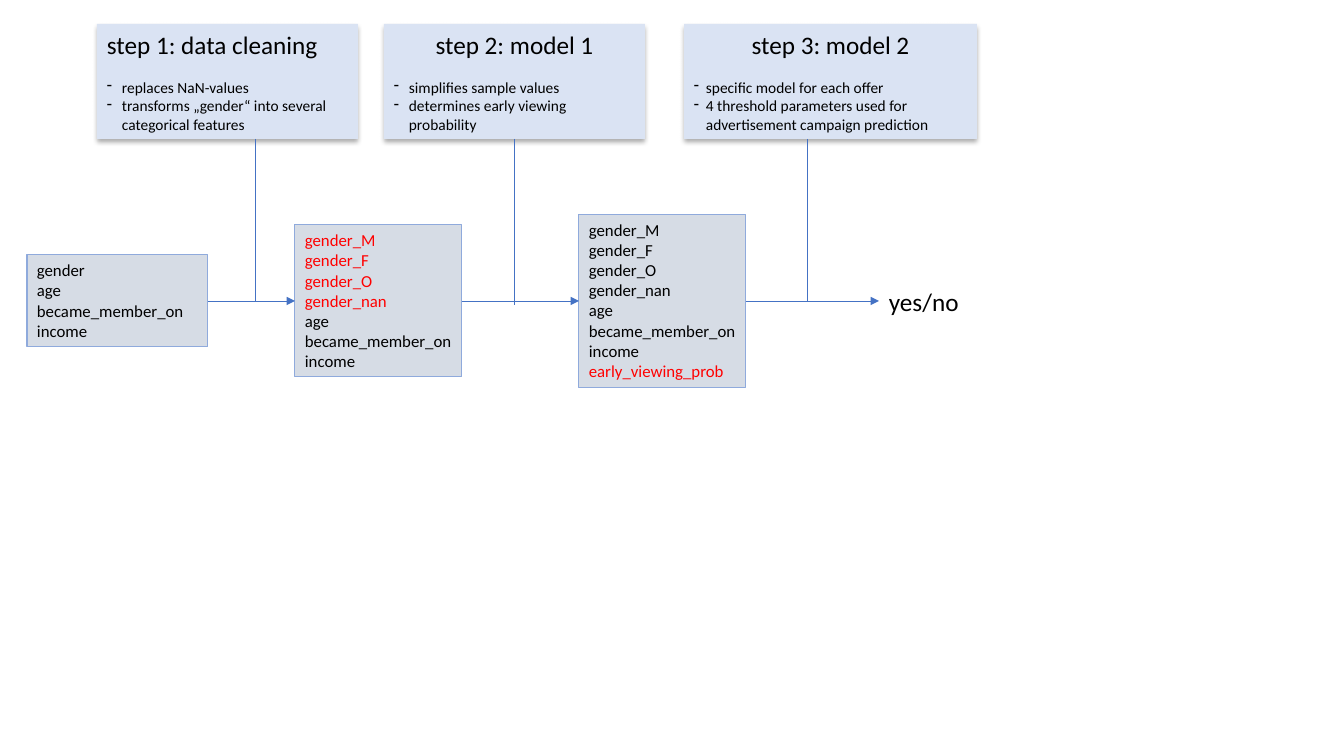
from dataclasses import dataclass

from lxml.etree import SubElement
from pptx import Presentation
from pptx.dml.color import RGBColor
from pptx.enum.shapes import MSO_CONNECTOR, MSO_SHAPE
from pptx.enum.text import MSO_ANCHOR, MSO_AUTO_SIZE, PP_ALIGN
from pptx.oxml.ns import qn
from pptx.util import Pt

EMU_PER_PIXEL = 914400 / 100.8


@dataclass(frozen=True)
class Theme:
    """Hold the colours, type sizes and line widths of the slide."""
    font: str = "Calibri"
    ink: str = "000000"
    new_field: str = "FF0000"
    field_fill: str = "D6DCE5"
    field_border: str = "8FAADC"
    step_fill: str = "DAE3F3"
    connector: str = "4472C4"
    heading_size: float = 18
    field_size: float = 12
    detail_size: float = 11
    heading_gap: float = 13.4
    border_width: float = 0.75
    connector_width: float = 0.5


THEME = Theme()
FLOW_Y = 301
STEP_TOP, STEP_HEIGHT = 24, 115

STEPS = [
    (97, 261, 15, PP_ALIGN.LEFT, "step 1: data cleaning",
     ["replaces NaN-values", "transforms „gender“ into several\vcategorical features"]),
    (384, 261, 15, PP_ALIGN.CENTER, "step 2: model 1",
     ["simplifies sample values", "determines early viewing\vprobability"]),
    (684, 293, 12, PP_ALIGN.CENTER, "step 3: model 2",
     ["specific model for each offer",
      "4 threshold parameters used for\vadvertisement campaign prediction"]),
]
STEP_LINKS = [(255, 302), (514, 305), (807, 302)]

GENDER_FIELDS = ["gender_M", "gender_F", "gender_O", "gender_nan"]
BASE_FIELDS = ["age", "became_member_on", "income"]
FIELD_SETS = [
    (27, 181, 92, ["gender"] + BASE_FIELDS, []),
    (295, 167, 152, GENDER_FIELDS + BASE_FIELDS, GENDER_FIELDS),
    (579, 167, 173, GENDER_FIELDS + BASE_FIELDS + ["early_viewing_prob"],
     ["early_viewing_prob"]),
]
RESULT_LEFT, RESULT_WIDTH, RESULT_HEIGHT = 879, 98, 40


def px(length):
    """Turn whole pixels into EMU."""
    return round(length * EMU_PER_PIXEL)


def write(frame, text, size, color=THEME.ink, align=PP_ALIGN.LEFT, gap=0, hang=0):
    """Write one paragraph, with a hanging dash when hang is given."""
    first = frame.paragraphs[0]
    para = first if not first.runs else frame.add_paragraph()
    para.alignment = align
    para.space_after = Pt(gap)
    for index, line in enumerate(text.split("\v")):
        if index:
            para.add_line_break()
        span = para.add_run()
        span.text = line
        span.font.name = THEME.font
        span.font.size = Pt(size)
        span.font.color.rgb = RGBColor.from_string(color)
    if hang:
        properties = para._p.get_or_add_pPr()
        properties.set("marL", str(px(hang)))
        properties.set("indent", str(-px(hang)))
        SubElement(properties, qn("a:buChar"), char="-")


def prepare_frame(box):
    """Return the wrapped, top-anchored text frame of a box."""
    frame = box.text_frame
    frame.word_wrap = True
    frame.auto_size = MSO_AUTO_SIZE.SHAPE_TO_FIT_TEXT
    frame.vertical_anchor = MSO_ANCHOR.TOP
    return frame


def add_box(page, left, top, width, height, fill, border=None):
    """Add a filled rectangle without a shadow."""
    box = page.shapes.add_shape(
        MSO_SHAPE.RECTANGLE, px(left), px(top), px(width), px(height))
    box.fill.solid()
    box.fill.fore_color.rgb = RGBColor.from_string(fill)
    if border:
        box.line.color.rgb = RGBColor.from_string(border)
        box.line.width = Pt(THEME.border_width)
    else:
        box.line.fill.background()
    box.shadow.inherit = False
    return box


def add_shadow(box):
    """Cast a soft shadow below a box."""
    effects = box._element.spPr.find(qn("a:effectLst"))
    shadow = SubElement(
        effects, qn("a:outerShdw"), blurRad=str(Pt(3.5)), dist=str(Pt(2.2)),
        dir="5400000", algn="t", rotWithShape="0")
    color = SubElement(shadow, qn("a:srgbClr"), val=THEME.ink)
    SubElement(color, qn("a:alpha"), val="32000")


def add_step(page, left, width, hang, align, heading, details):
    """Add a step card with its heading and dashed list."""
    box = add_box(page, left, STEP_TOP, width, STEP_HEIGHT, THEME.step_fill)
    add_shadow(box)
    frame = prepare_frame(box)
    write(frame, heading, THEME.heading_size, align=align, gap=THEME.heading_gap)
    for detail in details:
        write(frame, detail, THEME.detail_size, hang=hang)


def add_field_set(page, left, width, height, fields, new_fields):
    """Add a field list centred on the flow, with new fields highlighted."""
    box = add_box(page, left, FLOW_Y - height / 2, width, height,
                  THEME.field_fill, THEME.field_border)
    frame = prepare_frame(box)
    for field in fields:
        color = THEME.new_field if field in new_fields else THEME.ink
        write(frame, field, THEME.field_size, color=color)


def add_result(page, text):
    """Add the outcome label at the end of the flow."""
    box = page.shapes.add_textbox(
        px(RESULT_LEFT), px(FLOW_Y - RESULT_HEIGHT / 2),
        px(RESULT_WIDTH), px(RESULT_HEIGHT))
    write(prepare_frame(box), text, THEME.heading_size)


def add_link(page, start, end, arrow=False):
    """Add a thin straight connector, with an arrowhead on request."""
    link = page.shapes.add_connector(
        MSO_CONNECTOR.STRAIGHT, *map(px, start), *map(px, end))
    link.line.color.rgb = RGBColor.from_string(THEME.connector)
    link.line.width = Pt(THEME.connector_width)
    if arrow:
        SubElement(link.line._get_or_add_ln(), qn("a:tailEnd"), type="triangle")
    SubElement(link._element.spPr, qn("a:effectLst"))


def main():
    """Build and save the model pipeline slide."""
    deck = Presentation()
    deck.slide_width, deck.slide_height = px(1344), px(756)
    page = deck.slides.add_slide(deck.slide_layouts[6])
    for step in STEPS:
        add_step(page, *step)
    for field_set in FIELD_SETS:
        add_field_set(page, *field_set)
    add_result(page, "yes/no")
    targets = [left for left, *_ in FIELD_SETS[1:]] + [RESULT_LEFT]
    for (left, width, *_), target in zip(FIELD_SETS, targets):
        add_link(page, (left + width, FLOW_Y), (target, FLOW_Y), arrow=True)
    for x, bottom in STEP_LINKS:
        add_link(page, (x, STEP_TOP + STEP_HEIGHT), (x, bottom))
    deck.save("out.pptx")


main()
